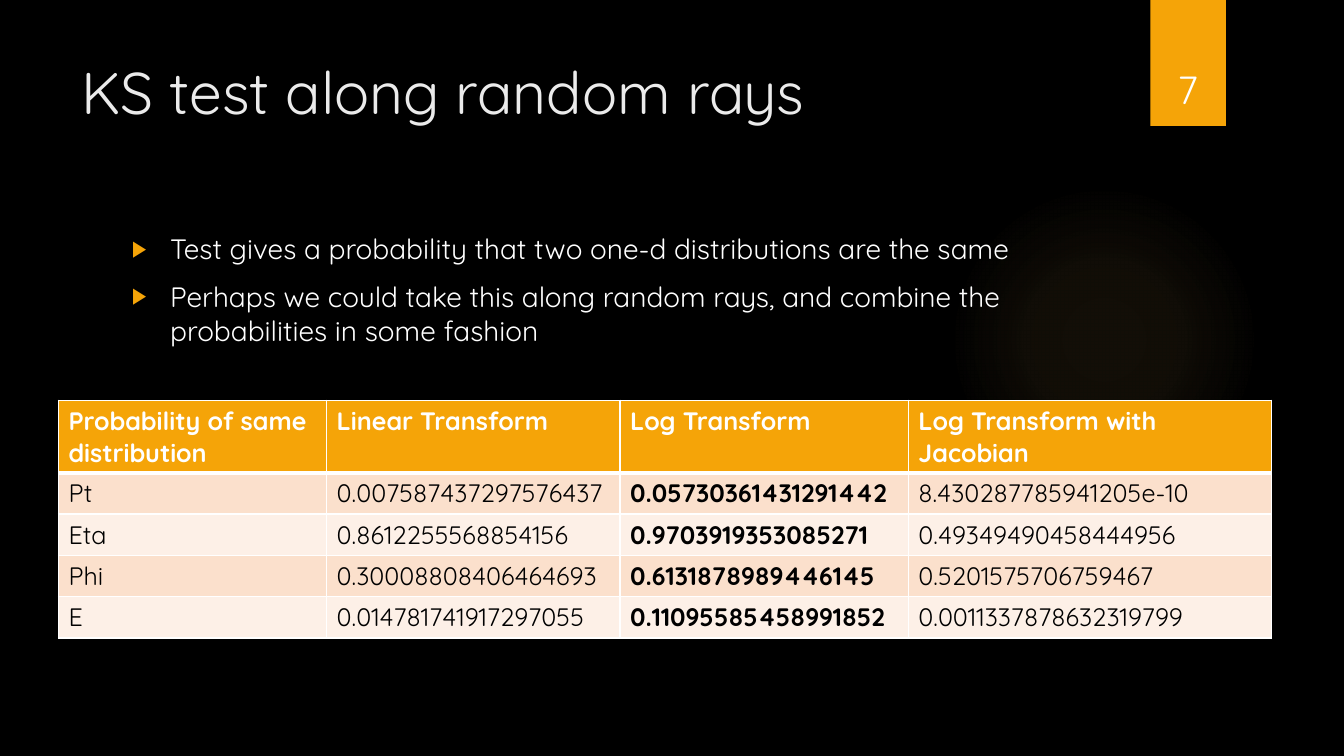
from lxml.etree import SubElement
from pptx import Presentation
from pptx.dml.color import RGBColor
from pptx.enum.shapes import MSO_SHAPE
from pptx.enum.text import MSO_ANCHOR, PP_ALIGN
from pptx.oxml import parse_xml
from pptx.oxml.ns import nsdecls, qn
from pptx.util import Inches, Pt

FONT = "Quicksand"
ORANGE = "F5A408"
WHITE = "FFFFFF"
BLACK = "000000"
BANDS = ["FBE0CC", "FDF0E7"]
GLOW = "FAC96A"
GLOW_STOPS = [(0, 7), (36, 6), (69, 0)]

BULLETS = [
    "Test gives a probability that two one-d distributions are the same",
    "Perhaps we could take this along random rays, and combine the "
    "probabilities in some fashion",
]
COLUMN_WIDTHS = [2.66, 2.91, 2.86, 3.6]
ROW_HEIGHTS = [0.72, 0.41, 0.41, 0.41, 0.41]
LOG_COLUMN = 2
RESULTS = [
    ["Probability of same distribution", "Linear Transform", "Log Transform",
     "Log Transform with Jacobian"],
    ["Pt", "0.007587437297576437", "0.05730361431291442",
     "8.430287785941205e-10"],
    ["Eta", "0.8612255568854156", "0.9703919353085271",
     "0.49349490458444956"],
    ["Phi", "0.30008808406464693", "0.6131878989446145",
     "0.5201575706759467"],
    ["E", "0.014781741917297055", "0.11095585458991852",
     "0.0011337878632319799"],
]


def paint(color_format, color):
    color_format.rgb = RGBColor.from_string(color)


def fill_solid(fill, color):
    fill.solid()
    paint(fill.fore_color, color)


def style(paragraph, size, color, bold=False):
    paragraph.font.name = FONT
    paragraph.font.size = Pt(size)
    paragraph.font.bold = bold
    paint(paragraph.font.color, color)


def add_preset(slide, preset, left, top, width, height, color):
    shape = slide.shapes.add_shape(
        preset, Inches(left), Inches(top), Inches(width), Inches(height))
    shape.shadow.inherit = False
    shape.line.fill.background()
    fill_solid(shape.fill, color)
    return shape


def add_glow(slide):
    glow = add_preset(slide, MSO_SHAPE.OVAL, 9.41, 1.83, 3.08, 3.08, GLOW)
    stops = "".join(
        f'<a:gs pos="{position * 1000}"><a:srgbClr val="{GLOW}">'
        f'<a:alpha val="{opacity * 1000}"/></a:srgbClr></a:gs>'
        for position, opacity in GLOW_STOPS)
    gradient = parse_xml(
        f'<a:gradFill {nsdecls("a")}><a:gsLst>{stops}</a:gsLst>'
        '<a:path path="circle"><a:fillToRect l="50000" t="50000" '
        'r="50000" b="50000"/></a:path></a:gradFill>')
    properties = glow._element.spPr
    properties.replace(properties.find(qn("a:solidFill")), gradient)


def add_text(slide, left, top, width, height, lines, size, color,
             anchor=MSO_ANCHOR.TOP, align=PP_ALIGN.LEFT):
    frame = slide.shapes.add_textbox(
        Inches(left), Inches(top), Inches(width), Inches(height)).text_frame
    frame.word_wrap = True
    frame.vertical_anchor = anchor
    frame.text = "\n".join(lines)
    for paragraph in frame.paragraphs:
        paragraph.alignment = align
        style(paragraph, size, color)
    return frame


def add_bullet(paragraph):
    paragraph.space_before = Pt(10)
    properties = paragraph._p.get_or_add_pPr()
    properties.set("marL", str(Inches(0.38)))
    properties.set("indent", str(-Inches(0.38)))
    bullet_color = SubElement(properties, qn("a:buClr"))
    SubElement(bullet_color, qn("a:srgbClr"), val=ORANGE)
    SubElement(properties, qn("a:buSzPct"), val="80000")
    SubElement(properties, qn("a:buFont"), typeface="Arial")
    SubElement(properties, qn("a:buChar"), char="▶")


def add_borders(cell, widths):
    properties = cell._tc.get_or_add_tcPr()
    for index, (side, width) in enumerate(widths.items()):
        properties.insert(index, parse_xml(
            f'<a:ln{side} {nsdecls("a")} w="{Pt(width)}"><a:solidFill>'
            f'<a:srgbClr val="{WHITE}"/></a:solidFill></a:ln{side}>'))


def add_results(slide):
    table = slide.shapes.add_table(
        len(RESULTS), len(COLUMN_WIDTHS), Inches(0.58), Inches(3.97),
        Inches(sum(COLUMN_WIDTHS)), Inches(sum(ROW_HEIGHTS))).table
    for column, width in zip(table.columns, COLUMN_WIDTHS):
        column.width = Inches(width)
    for row, height in zip(table.rows, ROW_HEIGHTS):
        row.height = Inches(height)
    for r, values in enumerate(RESULTS):
        header = r == 0
        for c, value in enumerate(values):
            cell = table.cell(r, c)
            cell.text = value
            style(cell.text_frame.paragraphs[0], 18,
                  WHITE if header else BLACK, header or c == LOG_COLUMN)
            fill_solid(cell.fill, ORANGE if header else BANDS[(r - 1) % 2])
            add_borders(cell, {"L": 1, "R": 1, "T": 3 if r == 1 else 1,
                               "B": 3 if header else 1})


def main():
    deck = Presentation()
    deck.slide_width = Inches(13.33)
    deck.slide_height = Inches(7.5)
    slide = deck.slides.add_slide(deck.slide_layouts[6])
    fill_solid(slide.background.fill, BLACK)

    add_glow(slide)
    add_preset(slide, MSO_SHAPE.RECTANGLE, 11.41, 0, 0.75, 1.25, ORANGE)
    add_text(slide, 0.71, 0.5, 10.29, 1.53,
             ["KS test along random rays"], 42, "EBEBEB")
    body = add_text(slide, 1.21, 2.25, 9.78, 4.59, BULLETS, 20, WHITE)
    for paragraph in body.paragraphs:
        add_bullet(paragraph)
    add_text(slide, 11.32, 0.32, 0.92, 0.84, ["7"], 28, WHITE,
             MSO_ANCHOR.BOTTOM, PP_ALIGN.CENTER)
    add_results(slide)
    deck.save("out.pptx")


main()
